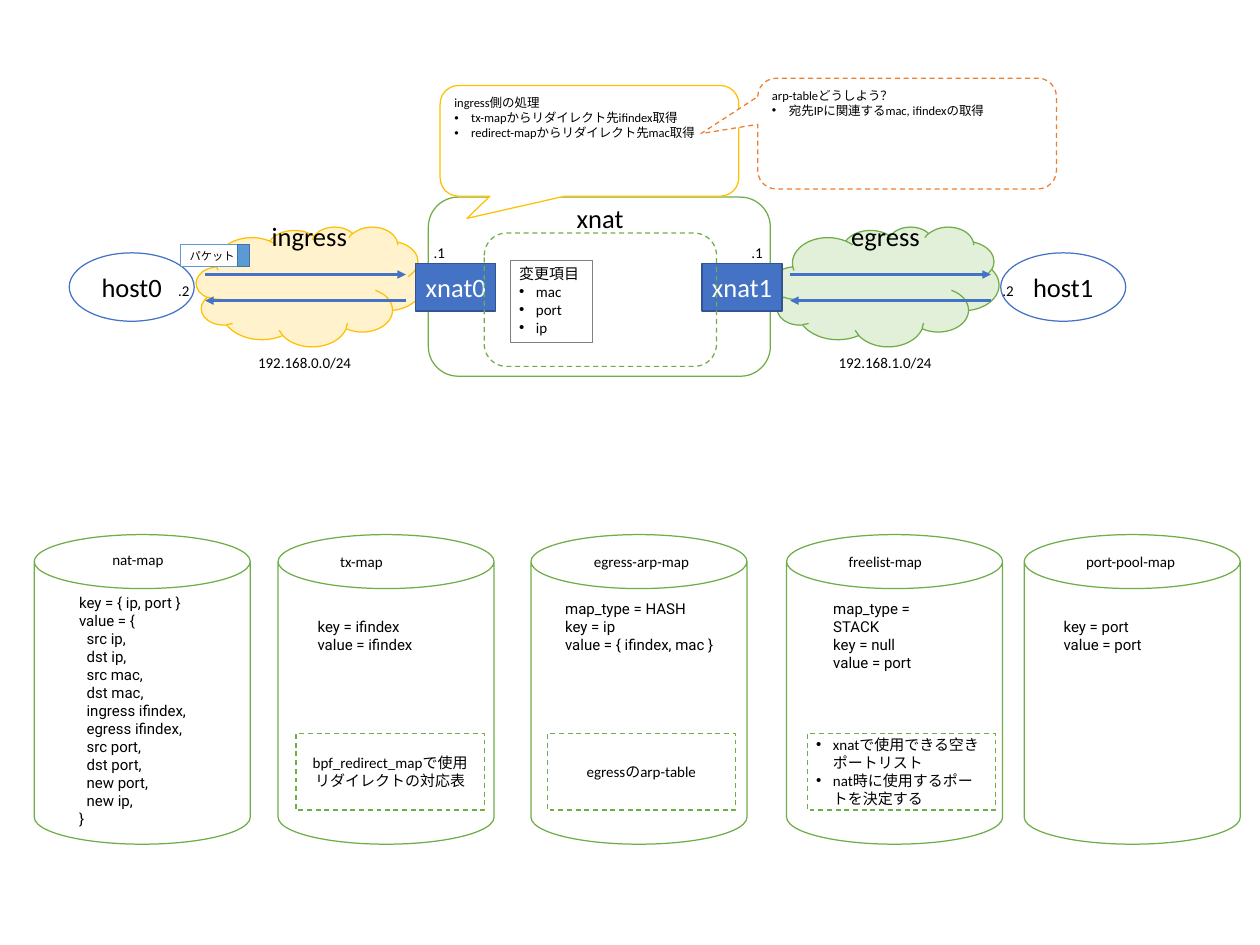
from lxml import etree
from pptx import Presentation
from pptx.dml.color import RGBColor
from pptx.enum.dml import MSO_LINE
from pptx.enum.shapes import MSO_CONNECTOR, MSO_SHAPE
from pptx.enum.text import MSO_ANCHOR, MSO_AUTO_SIZE, PP_ALIGN
from pptx.oxml.ns import qn
from pptx.util import Pt

WHITE = RGBColor(0xFF, 0xFF, 0xFF)
BLACK = RGBColor(0x00, 0x00, 0x00)
BLUE = RGBColor(0x44, 0x72, 0xC4)
DARK_BLUE = RGBColor(0x32, 0x54, 0x91)
SKY = RGBColor(0x5B, 0x9B, 0xD5)
DARK_SKY = RGBColor(0x43, 0x73, 0x9E)
GREEN = RGBColor(0x70, 0xAD, 0x47)
PALE_GREEN = RGBColor(0xE2, 0xF0, 0xD9)
AMBER = RGBColor(0xFF, 0xC0, 0x00)
PALE_AMBER = RGBColor(0xFF, 0xF2, 0xCC)
ORANGE = RGBColor(0xED, 0x7D, 0x31)
GRAY = RGBColor(0x80, 0x80, 0x80)

CLOUD, ELLIPSE, CAN = MSO_SHAPE.CLOUD, MSO_SHAPE.OVAL, MSO_SHAPE.CAN
RECTANGLE, ROUNDED = MSO_SHAPE.RECTANGLE, MSO_SHAPE.ROUNDED_RECTANGLE
CALLOUT = MSO_SHAPE.ROUNDED_RECTANGULAR_CALLOUT
STRAIGHT = MSO_CONNECTOR.STRAIGHT
DASH = MSO_LINE.DASH
LEFT, CENTER = PP_ALIGN.LEFT, PP_ALIGN.CENTER
TOP, MIDDLE = MSO_ANCHOR.TOP, MSO_ANCHOR.MIDDLE
GROW = MSO_AUTO_SIZE.SHAPE_TO_FIT_TEXT

BODY_FONT, CODE_FONT = "Calibri", "Roboto"
LARGE, NORMAL, SMALL, TINY = 21.2, 12, 10, 9
BULLET, CODE_INDENT = "• ", "  "


class Diagram:
    """Holds the style and the current slide, and draws the elements."""

    def __init__(self, slide):
        """Keep the slide that receives the elements."""
        self.slide = slide

    def set_lines(self, shape, lines, size, font=BODY_FONT, color=BLACK, align=LEFT):
        """Set lines; a leading mark makes a bullet or an indented line."""
        frame = shape.text_frame
        frame.text = "\n".join(
            line.removeprefix(BULLET).removeprefix(CODE_INDENT) for line in lines)
        for paragraph, line in zip(frame.paragraphs, lines):
            paragraph.alignment = align
            properties = paragraph._p.get_or_add_pPr()
            if line.startswith(BULLET):
                properties.set("marL", str(Pt(13.5)))
                properties.set("indent", str(-Pt(13.5)))
                etree.SubElement(properties, qn("a:buFont"), typeface="Arial")
                etree.SubElement(properties, qn("a:buChar"), char="•")
            elif line.startswith(CODE_INDENT):
                properties.set("marL", str(Pt(6)))
            for run in paragraph.runs:
                run.font.size = Pt(size)
                run.font.name = font
                run.font.color.rgb = color

    def shape(self, kind, box, line, fill=None, width=1, dash=None, lines=(),
              size=NORMAL, color=BLACK, align=LEFT, anchor=MIDDLE):
        """Draw a preset shape, with text if there is any."""
        shape = self.slide.shapes.add_shape(kind, *map(Pt, box))
        shape.shadow.inherit = False
        if fill is None:
            shape.fill.background()
        else:
            shape.fill.solid()
            shape.fill.fore_color.rgb = fill
        shape.line.color.rgb = line
        shape.line.width = Pt(width)
        if dash:
            shape.line.dash_style = dash
        if lines:
            shape.text_frame.word_wrap = True
            shape.text_frame.vertical_anchor = anchor
            self.set_lines(shape, lines, size, color=color, align=align)
        return shape

    def label(self, box, lines, size=NORMAL, font=BODY_FONT, wrap=False):
        """Place a text box that grows with its text."""
        text_box = self.slide.shapes.add_textbox(*map(Pt, box))
        text_box.text_frame.word_wrap = wrap
        text_box.text_frame.auto_size = GROW
        self.set_lines(text_box, lines, size, font)

    def arrow(self, start, end, y):
        """Draw a horizontal arrow from start to end."""
        arrow = self.slide.shapes.add_connector(
            STRAIGHT, Pt(start), Pt(y), Pt(end), Pt(y))
        arrow.line.color.rgb = BLUE
        arrow.line.width = Pt(2.25)
        etree.SubElement(arrow.line._get_or_add_ln(), qn("a:tailEnd"), type="triangle")
        etree.SubElement(arrow._element.spPr, qn("a:effectLst"))

    def callout(self, box, line, tip, lines, dash=None):
        """Draw a speech bubble whose tip is relative to its centre."""
        bubble = self.shape(CALLOUT, box, line, WHITE, dash=dash, lines=lines,
                            size=SMALL, anchor=TOP)
        for index, value in enumerate(tip):
            bubble.adjustments[index] = value

    def map_store(self, left, name, name_box, code, code_box, wrap=False):
        """Draw a can with the name and the layout of a map."""
        self.shape(CAN, (left, 427.7, 172.8, 247.7), GREEN, WHITE)
        self.label((*name_box, 21.6), [name])
        self.label(code_box, code, font=CODE_FONT, wrap=wrap)

    def note(self, left, lines, align=CENTER):
        """Draw a dashed note inside a can."""
        self.shape(RECTANGLE, (left, 586.8, 150.5, 61.2), GREEN, WHITE,
                   dash=DASH, lines=lines, align=align)


def draw_network(diagram):
    """Draw the two networks, their hosts and the translator between them."""
    diagram.shape(CLOUD, (617.8, 181.4, 181.4, 95.8), GREEN, PALE_GREEN)
    diagram.shape(CLOUD, (157, 181.4, 181.4, 95.8), AMBER, PALE_AMBER)
    for left, name in ((55.4, "host0"), (800.6, "host1")):
        diagram.shape(ELLIPSE, (left, 202.3, 100, 54.7), BLUE, WHITE,
                      lines=[name], size=LARGE, align=CENTER)
    diagram.shape(ROUNDED, (342.7, 157.7, 273.6, 143.3), GREEN)
    for left, right in ((164.2, 324.7), (632.2, 792.7)):
        diagram.arrow(left, right, 219.6)
        diagram.arrow(right, left, 240.5)
    for left, top, width, name in ((454.3, 157.7, 56.9, "xnat"),
                                   (210.2, 172.1, 85.7, "ingress"),
                                   (673.9, 172.1, 79.9, "egress")):
        diagram.label((left, top, width, 33.1), [name], LARGE)
    for left, network in ((199.4, "192.168.0.0/24"), (663.8, "192.168.1.0/24")):
        diagram.label((left, 279.4, 96.5, 21.6), [network])
    for left, name in ((332.6, "xnat0"), (561.6, "xnat1")):
        diagram.shape(RECTANGLE, (left, 210.6, 64.1, 38.2), DARK_BLUE, BLUE,
                      lines=[name], size=LARGE, color=WHITE, align=CENTER)
    for left, top, address in ((135.4, 221.8, ".2"), (794.9, 221.8, ".2"),
                               (339.8, 191.5, ".1"), (594, 191.5, ".1")):
        diagram.label((left, top, 24.5, 21.6), [address])
    diagram.shape(ROUNDED, (387.4, 186.5, 185.8, 106.6), GREEN, dash=DASH)
    diagram.shape(RECTANGLE, (408.2, 208.1, 66.2, 65.5), GRAY, width=0.75,
                  lines=["変更項目", "• mac", "• port", "• ip"], anchor=TOP)


def draw_maps(diagram):
    """Draw the five maps and the notes on three of them."""
    diagram.map_store(
        27.4, "nat-map", (82.8, 437, 62.6),
        ["key = { ip, port }", "value = {", "  src ip,", "  dst ip,", "  src mac,",
         "  dst mac,", "  ingress ifindex,", "  egress ifindex,", "  src port,",
         "  dst port,", "  new port,", "  new ip,", "}"],
        (56.2, 471.6, 123.8, 196.6))
    diagram.map_store(
        222.5, "tx-map", (265, 438.5, 54.7),
        ["key = ifindex", "value = ifindex"], (247, 490.3, 105.1, 36))
    diagram.map_store(
        424.8, "egress-arp-map", (468, 438.5, 91.4),
        ["map_type = HASH", "key = ip", "value = { ifindex, mac }"],
        (445, 475.9, 159.8, 51.1))
    diagram.map_store(
        629.3, "freelist-map", (671.8, 438.5, 83.5),
        ["map_type = STACK", "key = null", "value = port"],
        (659.5, 475.9, 111.6, 51.1), wrap=True)
    diagram.map_store(
        819.4, "port-pool-map", (861.8, 438.5, 95.8),
        ["key = port", "value = port"], (843.8, 490.3, 87.1, 36))
    diagram.note(236.9, ["bpf_redirect_mapで使用", "リダイレクトの対応表"])
    diagram.note(437.8, ["egressのarp-table"])
    diagram.note(645.8, ["• xnatで使用できる空きポートリスト",
                         "• nat時に使用するポートを決定する"], LEFT)


def draw_remarks(diagram):
    """Draw the packet and the two speech bubbles."""
    packet = diagram.shape(RECTANGLE, (144.7, 195.8, 54.7, 17.3), SKY, WHITE,
                           lines=["パケット"], size=TINY)
    header = diagram.shape(RECTANGLE, (190, 195.8, 9.4, 17.3), DARK_SKY, SKY)
    diagram.slide.shapes.add_group_shape([packet, header])
    diagram.callout((352.1, 68.4, 239, 88.6), AMBER, (-0.41, 0.7),
                    ["ingress側の処理", "• tx-mapからリダイレクト先ifindex取得",
                     "• redirect-mapからリダイレクト先mac取得"])
    diagram.callout((606.2, 62.6, 239, 88.6), ORANGE, (-0.69, 0),
                    ["arp-tableどうしよう？", "• 宛先IPに関連するmac, ifindexの取得"], DASH)


def main():
    """Build the presentation and save it."""
    presentation = Presentation()
    presentation.slide_width, presentation.slide_height = Pt(1008), Pt(756)
    diagram = Diagram(presentation.slides.add_slide(presentation.slide_layouts[6]))
    draw_network(diagram)
    draw_maps(diagram)
    draw_remarks(diagram)
    presentation.save("out.pptx")


main()
